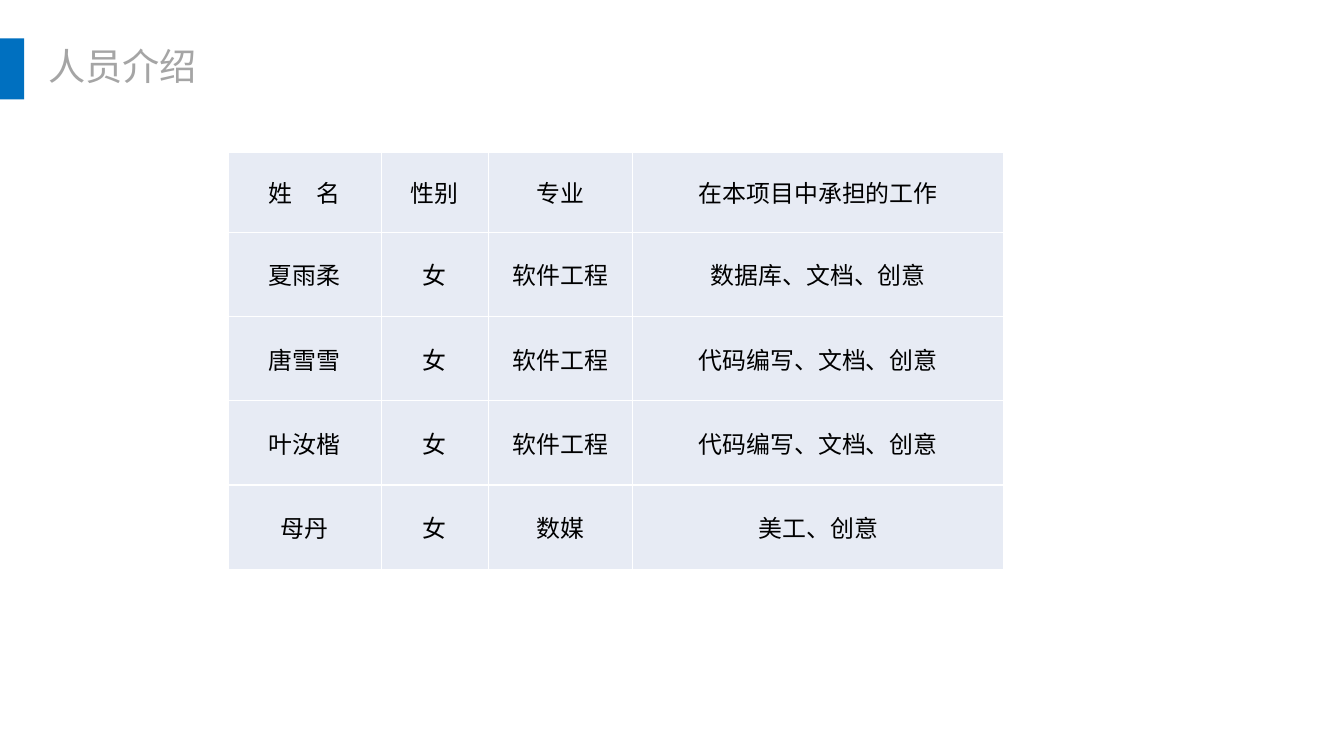
from dataclasses import dataclass

from pptx import Presentation
from pptx.dml.color import RGBColor
from pptx.enum.shapes import MSO_SHAPE
from pptx.enum.text import MSO_ANCHOR, MSO_AUTO_SIZE, PP_ALIGN
from pptx.slide import Slide
from pptx.table import _Cell
from pptx.text.text import _Paragraph
from pptx.util import Cm, Pt

RECTANGLE = MSO_SHAPE.RECTANGLE
MIDDLE = MSO_ANCHOR.MIDDLE
CENTER = PP_ALIGN.CENTER
FIT_SHAPE = MSO_AUTO_SIZE.SHAPE_TO_FIT_TEXT


@dataclass(frozen=True)
class TextStyle:
    font: str
    size: float
    color: RGBColor


@dataclass(frozen=True)
class Theme:
    accent: RGBColor = RGBColor(0x00, 0x70, 0xC0)
    cell_fill: RGBColor = RGBColor(0xE7, 0xEB, 0xF4)
    title: TextStyle = TextStyle("Arial", 28, RGBColor(0xA5, 0xA5, 0xA5))
    body: TextStyle = TextStyle("Calibri", 18, RGBColor(0x00, 0x00, 0x00))


@dataclass(frozen=True)
class Member:
    name: str
    gender: str
    major: str
    work: str
    major_space: float = 0

    def texts(self) -> tuple[str, ...]:
        return self.name, self.gender, self.major, self.work


THEME = Theme()
HEADER = Member("姓　名", "性别", "专业", "在本项目中承担的工作")
MEMBERS = (
    Member("夏雨柔", "女", "软件工程", "数据库、文档、创意"),
    Member("唐雪雪", "女", "软件工程", "代码编写、文档、创意", 6),
    Member("叶汝楷", "女", "软件工程", "代码编写、文档、创意", 6),
    Member("母丹", "女", "数媒", "美工、创意", 6),
)
COLUMN_WIDTHS = (4.06, 2.84, 3.84, 9.86)
MAJOR_COLUMN = 2
HEADER_HEIGHT = 2.13
MEMBER_HEIGHT = 2.24


def style_paragraph(p: _Paragraph, style: TextStyle) -> None:
    for r in p.runs:
        r.font.name = style.font
        r.font.size = Pt(style.size)
        r.font.color.rgb = style.color


def add_title(s: Slide, text: str) -> None:
    bar = s.shapes.add_shape(RECTANGLE, Cm(0), Cm(1.02), Cm(0.64), Cm(1.62))
    bar.shadow.inherit = False
    bar.fill.solid()
    bar.fill.fore_color.rgb = THEME.accent
    bar.line.fill.background()

    sp = s.shapes.add_textbox(Cm(1.04), Cm(1.02), Cm(4.52), Cm(1.47))
    tf = sp.text_frame
    tf.word_wrap = False
    tf.auto_size = FIT_SHAPE
    tf.text = text
    style_paragraph(tf.paragraphs[0], THEME.title)


def fill_cell(cell: _Cell, text: str, space_before: float) -> None:
    cell.fill.solid()
    cell.fill.fore_color.rgb = THEME.cell_fill
    cell.vertical_anchor = MIDDLE
    cell.margin_left = cell.margin_right = Cm(0.19)
    cell.margin_top = cell.margin_bottom = Cm(0)
    cell.text_frame.text = text
    p = cell.text_frame.paragraphs[0]
    p.alignment = CENTER
    p.space_before = Pt(space_before)
    style_paragraph(p, THEME.body)


def add_member_table(s: Slide) -> None:
    """Draw the header and members; the table style supplies the white rules."""
    rows = (HEADER, *MEMBERS)
    heights = (HEADER_HEIGHT, *[MEMBER_HEIGHT] * len(MEMBERS))
    table = s.shapes.add_table(
        len(rows), len(COLUMN_WIDTHS), Cm(6.07), Cm(4.04),
        Cm(sum(COLUMN_WIDTHS)), Cm(sum(heights)),
    ).table
    table.first_row = False
    table.horz_banding = False
    for column, width in zip(table.columns, COLUMN_WIDTHS):
        column.width = Cm(width)
    for row, height, member in zip(table.rows, heights, rows):
        row.height = Cm(height)
        for i, (cell, text) in enumerate(zip(row.cells, member.texts())):
            fill_cell(cell, text, member.major_space if i == MAJOR_COLUMN else 0)


def main() -> None:
    prs = Presentation()
    prs.slide_width = Cm(35.71)
    prs.slide_height = Cm(20.09)
    s = prs.slides.add_slide(prs.slide_layouts[6])
    add_title(s, "人员介绍")
    add_member_table(s)
    prs.save("out.pptx")


if __name__ == "__main__":
    main()
